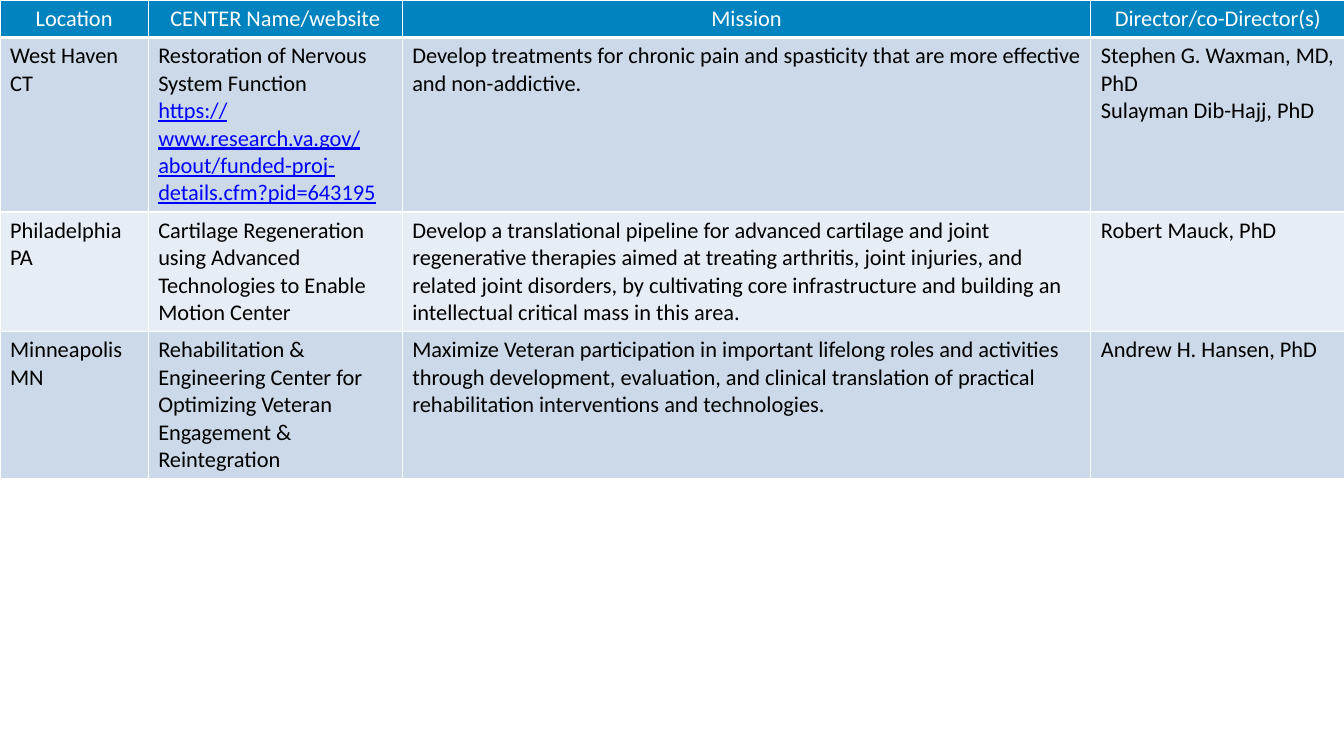
from dataclasses import dataclass

from lxml.etree import SubElement
from pptx import Presentation
from pptx.dml.color import RGBColor
from pptx.enum.text import PP_ALIGN
from pptx.oxml.ns import qn
from pptx.util import Inches, Pt


@dataclass(frozen=True)
class Theme:
    font: str = "Calibri"
    size: int = 16
    header_fill: str = "0083BE"
    band_fills: tuple = ("CCD9E8", "E7EDF4")
    header_text: str = "FFFFFF"
    body_text: str = "000000"
    link_text: str = "0000FF"
    border: str = "FFFFFF"
    border_width: int = 1
    header_rule_width: int = 3


COLUMN_WIDTHS = (1.47, 2.52, 6.83, 2.52)
ROW_HEIGHTS = (0.34, 1.09, 1.09, 1.34)
TABLE_HEIGHT = 4.4
HEADINGS = ("Location", "CENTER Name/website", "Mission", "Director/co-Director(s)")
CENTERS = (
    (
        "West Haven CT",
        "Restoration of Nervous System Function\n"
        "https://www.research.va.gov/about/funded-proj-details.cfm?pid=643195",
        "Develop treatments for chronic pain and spasticity that are more effective "
        "and non-addictive.",
        "Stephen G. Waxman, MD, PhD\nSulayman Dib-Hajj, PhD",
    ),
    (
        "Philadelphia PA",
        "Cartilage Regeneration using Advanced Technologies to Enable Motion Center",
        "Develop a translational pipeline for advanced cartilage and joint regenerative "
        "therapies aimed at treating arthritis, joint injuries, and related joint "
        "disorders, by cultivating core infrastructure and building an intellectual "
        "critical mass in this area.",
        "Robert Mauck, PhD",
    ),
    (
        "Minneapolis MN",
        "Rehabilitation & Engineering Center for Optimizing Veteran Engagement & "
        "Reintegration",
        "Maximize Veteran participation in important lifelong roles and activities "
        "through development, evaluation, and clinical translation of practical "
        "rehabilitation interventions and technologies.",
        "Andrew H. Hansen, PhD",
    ),
)


def write_text(paragraph, text, *, font, size, color, underline=False, align=PP_ALIGN.LEFT):
    paragraph.alignment = align
    run = paragraph.add_run()
    run.text = text
    run.font.name = font
    run.font.size = Pt(size)
    run.font.bold = False
    run.font.underline = underline
    run.font.color.rgb = RGBColor.from_string(color)


class SlideBuilder:
    def __init__(self, slide, theme):
        self.slide = slide
        self.theme = theme

    def add_borders(self, cell, bottom_width):
        properties = cell._tc.get_or_add_tcPr()
        for side in "LRTB":
            width = bottom_width if side == "B" else self.theme.border_width
            line = SubElement(properties, qn(f"a:ln{side}"), w=str(Pt(width)))
            fill = SubElement(line, qn("a:solidFill"))
            SubElement(fill, qn("a:srgbClr"), val=self.theme.border)

    def fill_cell(self, cell, text, *, fill, color, align, bottom_width):
        self.add_borders(cell, bottom_width)
        cell.fill.solid()
        cell.fill.fore_color.rgb = RGBColor.from_string(fill)
        frame = cell.text_frame
        for index, line in enumerate(text.split("\n")):
            paragraph = frame.add_paragraph() if index else frame.paragraphs[0]
            is_link = line.startswith("https://")
            write_text(
                paragraph,
                line,
                font=self.theme.font,
                size=self.theme.size,
                color=self.theme.link_text if is_link else color,
                underline=is_link,
                align=align,
            )

    def add_table(self, headings, records):
        theme = self.theme
        shape = self.slide.shapes.add_table(
            len(records) + 1,
            len(headings),
            Inches(0),
            Inches(0),
            Inches(sum(COLUMN_WIDTHS)),
            Inches(TABLE_HEIGHT),
        )
        table = shape.table
        table.horz_banding = False
        for column, width in zip(table.columns, COLUMN_WIDTHS):
            column.width = Inches(width)
        for row, height in zip(table.rows, ROW_HEIGHTS):
            row.height = Inches(height)
        for row_index, texts in enumerate((headings, *records)):
            if row_index == 0:
                style = dict(
                    fill=theme.header_fill,
                    color=theme.header_text,
                    align=PP_ALIGN.CENTER,
                    bottom_width=theme.header_rule_width,
                )
            else:
                style = dict(
                    fill=theme.band_fills[(row_index - 1) % 2],
                    color=theme.body_text,
                    align=PP_ALIGN.LEFT,
                    bottom_width=theme.border_width,
                )
            for column_index, text in enumerate(texts):
                self.fill_cell(table.cell(row_index, column_index), text, **style)
        shape.height = Inches(TABLE_HEIGHT)


def main():
    presentation = Presentation()
    presentation.slide_width = Inches(13.33)
    presentation.slide_height = Inches(7.5)
    slide = presentation.slides.add_slide(presentation.slide_layouts[6])
    SlideBuilder(slide, Theme()).add_table(HEADINGS, CENTERS)
    presentation.save("out.pptx")


if __name__ == "__main__":
    main()
